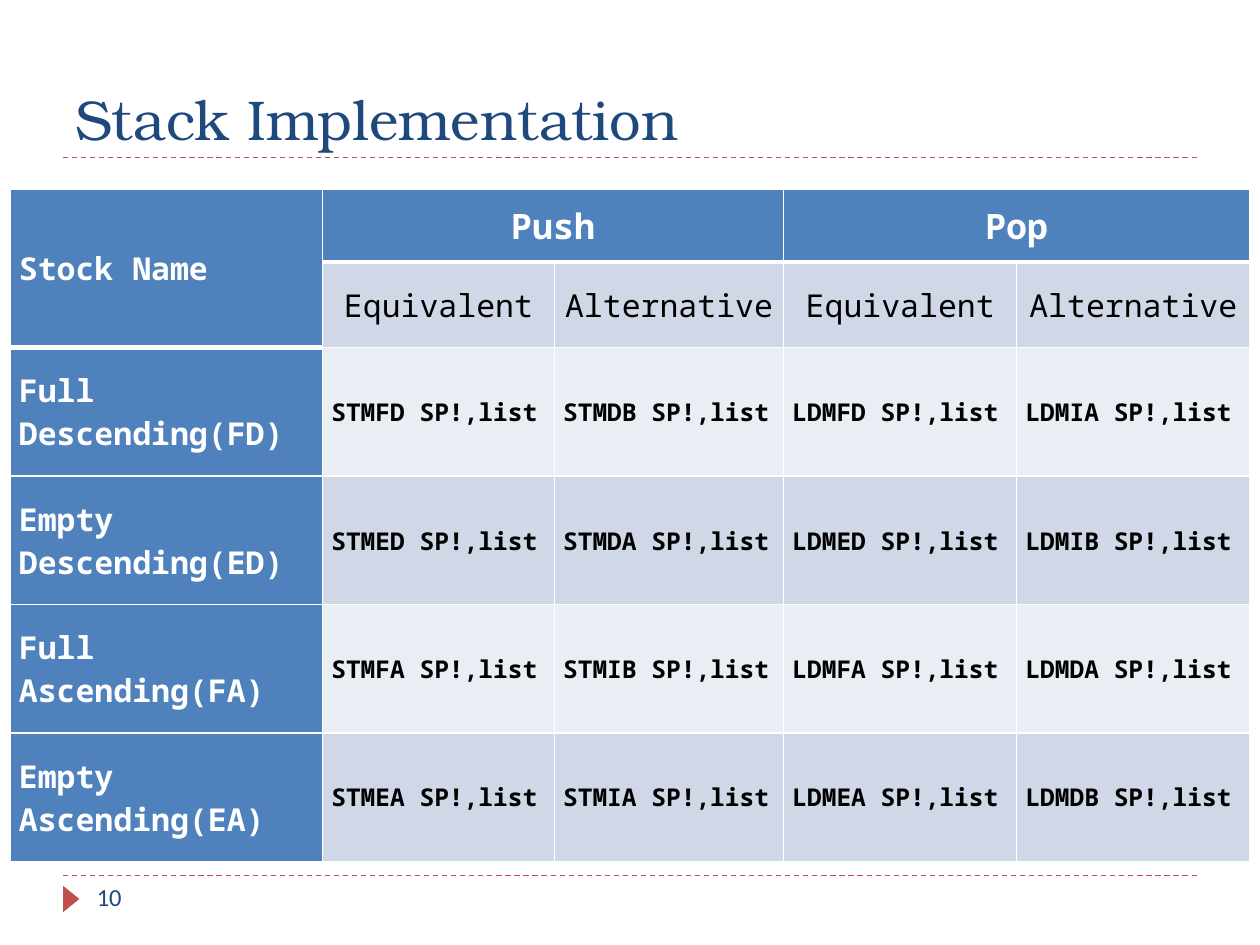
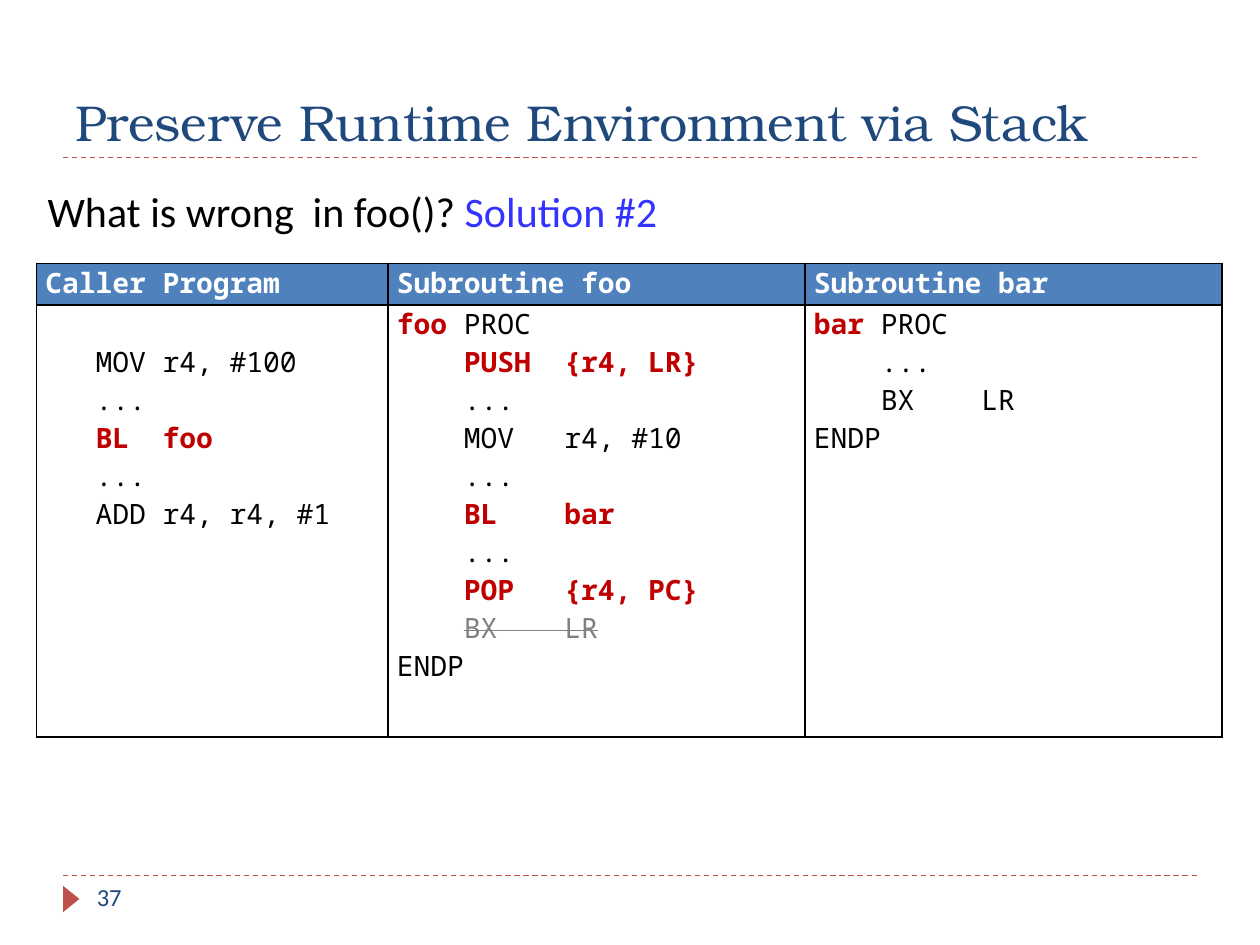
"""Build two slides on stack push and pop instructions."""
from dataclasses import dataclass
from typing import NamedTuple

from lxml.etree import SubElement
from pptx import Presentation
from pptx.dml.color import RGBColor
from pptx.enum.dml import MSO_LINE
from pptx.enum.shapes import MSO_CONNECTOR, MSO_SHAPE
from pptx.enum.text import MSO_ANCHOR, PP_ALIGN
from pptx.oxml.ns import qn
from pptx.util import Inches, Pt

COLUMNS, ROWS = 100, 75
UNIT = Inches(0.1)

WHITE = RGBColor(0xFF, 0xFF, 0xFF)
BLACK = RGBColor(0x00, 0x00, 0x00)
NAVY = RGBColor(0x1F, 0x49, 0x7D)
BLUE = RGBColor(0x4F, 0x81, 0xBD)
DARK_BAND = RGBColor(0xD0, 0xD8, 0xE8)
LIGHT_BAND = RGBColor(0xE9, 0xED, 0xF4)
BRICK = RGBColor(0xC0, 0x50, 0x4D)
RED = RGBColor(0xC0, 0x00, 0x00)
GRAY = RGBColor(0x80, 0x80, 0x80)
VIOLET = RGBColor(0x33, 0x33, 0xFF)

SERIF, SANS, MONO = "TeX Gyre Bonum", "Calibri", "Noto Sans Mono"
RULE_LEFT, RULE_RIGHT, TITLE_RULE, FOOTER_RULE = 5, 95, 12.5, 69.5
CODE_SIZE, CODE_LINE = 16, 3.02
THIN, THICK = 1, 3


class Box(NamedTuple):
    """Place on the grid, in columns and rows."""
    left: float
    top: float
    width: float
    height: float


@dataclass(frozen=True)
class Style:
    """Look of a piece of text."""
    size: float
    color: RGBColor
    font: str = MONO
    bold: bool = False
    struck: bool = False


class Piece(NamedTuple):
    """Text with one style."""
    text: str
    style: Style


@dataclass(frozen=True)
class CellLook:
    """Fill and text placement of a table cell."""
    fill: RGBColor
    align: PP_ALIGN = PP_ALIGN.JUSTIFY
    anchor: MSO_ANCHOR = MSO_ANCHOR.MIDDLE
    top_margin: float = 0


Line = list[Piece]

PLAIN = Style(CODE_SIZE, BLACK)
HOT = Style(CODE_SIZE, RED, bold=True)
GONE = Style(CODE_SIZE, GRAY, struck=True)
CODE_HEAD = Style(CODE_SIZE, WHITE, bold=True)
GROUP_HEAD = Style(20, WHITE, bold=True)
ROW_HEAD = Style(18, WHITE, bold=True)
SUB_HEAD = Style(18, BLACK)
INSTRUCTION = Style(14, BLACK, bold=True)
PAGE_NUMBER = Style(14, NAVY, SANS)

STACKS = [
    ("Full Descending(FD)", "STMFD", "STMDB", "LDMFD", "LDMIA"),
    ("Empty Descending(ED)", "STMED", "STMDA", "LDMED", "LDMIB"),
    ("Full Ascending(FA)", "STMFA", "STMIB", "LDMFA", "LDMDA"),
    ("Empty Ascending(EA)", "STMEA", "STMIA", "LDMEA", "LDMDB"),
]


def grid(amount: float) -> int:
    """Turn grid units into a length."""
    return round(amount * UNIT)


def code(text: str, style: Style = PLAIN, indent: int = 4) -> Line:
    """Make an indented line of code."""
    return [Piece(" " * indent, PLAIN), Piece(text, style)]


CALLER = [code("MOV r4, #100", indent=3), code("...", indent=3),
          code("BL  foo", HOT, 3), code("...", indent=3),
          code("ADD r4, r4, #1", indent=3)]
FOO = [[Piece("foo ", HOT), Piece("PROC", PLAIN)],
       code("PUSH  {r4, LR}", HOT), code("..."), code("MOV   r4, #10"),
       code("..."), code("BL    bar", HOT), code("..."),
       code("POP   {r4, PC}", HOT), code("BX    LR", GONE),
       [Piece("ENDP", PLAIN)]]
BAR = [[Piece("bar", HOT), Piece(" PROC", PLAIN)], code("..."),
       code("BX    LR"), [Piece("ENDP", PLAIN)]]
ROUTINES = [("Caller Program", CALLER, CODE_LINE),
            ("Subroutine foo", FOO, 0), ("Subroutine bar", BAR, 0)]


def write(frame, lines: list[Line], align: PP_ALIGN = PP_ALIGN.LEFT) -> None:
    """Write styled lines, one paragraph each."""
    for number, line in enumerate(lines):
        para = frame.add_paragraph() if number else frame.paragraphs[0]
        para.alignment = align
        for piece in line:
            span = para.add_run()
            span.text = piece.text
            span.font.name = piece.style.font
            span.font.size = Pt(piece.style.size)
            span.font.bold = piece.style.bold
            span.font.color.rgb = piece.style.color
            if piece.style.struck:
                span._r.get_or_add_rPr().set("strike", "sngStrike")


def add_text(page, box: Box, line: Line,
             anchor: MSO_ANCHOR = MSO_ANCHOR.TOP, wrap: bool = True) -> None:
    """Add a one-paragraph text box."""
    frame = page.shapes.add_textbox(*map(grid, box)).text_frame
    frame.word_wrap = wrap
    frame.vertical_anchor = anchor
    write(frame, [line])


def add_rule(page, height: float) -> None:
    """Draw a dashed rule across the page."""
    rule = page.shapes.add_connector(
        MSO_CONNECTOR.STRAIGHT, grid(RULE_LEFT), grid(height),
        grid(RULE_RIGHT), grid(height))
    rule.line.color.rgb = BRICK
    rule.line.width = Pt(0.75)
    rule.line.dash_style = MSO_LINE.DASH
    SubElement(rule._element.spPr, qn("a:effectLst"))


def add_page(deck, title: str, title_size: float, number: int):
    """Add a page with the shared title, rules and footer."""
    page = deck.slides.add_slide(deck.slide_layouts[6])
    for height in (FOOTER_RULE, TITLE_RULE):
        add_rule(page, height)
    marker = page.shapes.add_shape(
        MSO_SHAPE.ISOSCELES_TRIANGLE, *map(grid, Box(4.6, 70.7, 2.1, 1.3)))
    marker.rotation = 90
    marker.shadow.inherit = False
    marker.fill.solid()
    marker.fill.fore_color.rgb = BRICK
    marker.line.fill.background()
    add_text(page, Box(RULE_LEFT, 1.7, RULE_RIGHT - RULE_LEFT, 10.8),
             [Piece(title, Style(title_size, NAVY, SERIF))], MSO_ANCHOR.BOTTOM)
    add_text(page, Box(6.7, FOOTER_RULE, 21.7, 4),
             [Piece(str(number), PAGE_NUMBER)])
    return page


def add_grid_table(page, left: float, top: float,
                   widths: list[float], heights: list[float]):
    """Add a table with the given columns and rows."""
    box = Box(left, top, sum(widths), sum(heights))
    table = page.shapes.add_table(
        len(heights), len(widths), *map(grid, box)).table
    table.first_row = table.horz_banding = False
    for column, width in zip(table.columns, widths):
        column.width = grid(width)
    for row, height in zip(table.rows, heights):
        row.height = grid(height)
    return table


def border(cell, color: RGBColor, top: float = THIN,
           bottom: float = THIN) -> None:
    """Draw the four borders of a cell."""
    properties = cell._tc.get_or_add_tcPr()
    sides = {"a:lnL": THIN, "a:lnR": THIN, "a:lnT": top, "a:lnB": bottom}
    for tag, width in sides.items():
        edge = SubElement(properties, qn(tag), w=str(Pt(width)))
        SubElement(SubElement(edge, qn("a:solidFill")), qn("a:srgbClr"),
                   val=str(color))


def fill_cell(cell, look: CellLook, lines: list[Line]) -> None:
    """Fill a cell and write its text."""
    cell.fill.solid()
    cell.fill.fore_color.rgb = look.fill
    cell.margin_left = cell.margin_right = grid(0.7)
    cell.margin_top, cell.margin_bottom = grid(look.top_margin), 0
    cell.vertical_anchor = look.anchor
    write(cell.text_frame, lines, look.align)


def build_stack_page(deck) -> None:
    """Build the table of stack instructions."""
    page = add_page(deck, "Stack Implementation", 32, 10)
    table = add_grid_table(page, 0.8, 15, [24.8, 18.4, 18.2, 18.5, 18.5],
                           [5.8, 6.8] + [10.2] * len(STACKS))
    for row in range(len(table.rows)):
        for column in range(len(table.columns)):
            head_end = 0 if column else 1
            border(table.cell(row, column), WHITE,
                   THICK if row == head_end + 1 else THIN,
                   THICK if row in (0, head_end) else THIN)

    name_look = CellLook(BLUE, PP_ALIGN.LEFT)
    table.cell(0, 0).merge(table.cell(1, 0))
    fill_cell(table.cell(0, 0), name_look, [[Piece("Stock Name", ROW_HEAD)]])
    for first, group in ((1, "Push"), (3, "Pop")):
        table.cell(0, first).merge(table.cell(0, first + 1))
        fill_cell(table.cell(0, first), CellLook(BLUE, PP_ALIGN.CENTER),
                  [[Piece(group, GROUP_HEAD)]])
        for column, kind in enumerate(("Equivalent", "Alternative"), first):
            fill_cell(table.cell(1, column),
                      CellLook(DARK_BAND, PP_ALIGN.CENTER),
                      [[Piece(kind, SUB_HEAD)]])
    for row, (name, *instructions) in enumerate(STACKS, 2):
        fill_cell(table.cell(row, 0), name_look, [[Piece(name, ROW_HEAD)]])
        band = DARK_BAND if row % 2 else LIGHT_BAND
        for column, instruction in enumerate(instructions, 1):
            fill_cell(table.cell(row, column), CellLook(band),
                      [[Piece(f"{instruction} SP!,list", INSTRUCTION)]])


def build_runtime_page(deck) -> None:
    """Build the comparison of caller and subroutines."""
    page = add_page(deck, "Preserve Runtime Environment via Stack", 28.8, 37)
    table = add_grid_table(page, 2.9, 20.9, [27.9, 33.1, 33.1], [3.3, 34.3])
    for column, (name, lines, top_margin) in enumerate(ROUTINES):
        head, body = table.cell(0, column), table.cell(1, column)
        for cell in (head, body):
            border(cell, BLACK)
        fill_cell(head, CellLook(BLUE, anchor=MSO_ANCHOR.TOP),
                  [[Piece(name, CODE_HEAD)]])
        fill_cell(body, CellLook(WHITE, anchor=MSO_ANCHOR.TOP,
                                 top_margin=top_margin), lines)
    add_text(page, Box(2.8, 14.2, 53, 5),
             [Piece("What is wrong  in foo()? ", Style(24, BLACK, SANS)),
              Piece("Solution #2", Style(24, VIOLET, SANS))], wrap=False)


def main() -> None:
    """Build and save the deck."""
    deck = Presentation()
    deck.slide_width, deck.slide_height = grid(COLUMNS), grid(ROWS)
    build_stack_page(deck)
    build_runtime_page(deck)
    deck.save("out.pptx")


if __name__ == "__main__":
    main()
